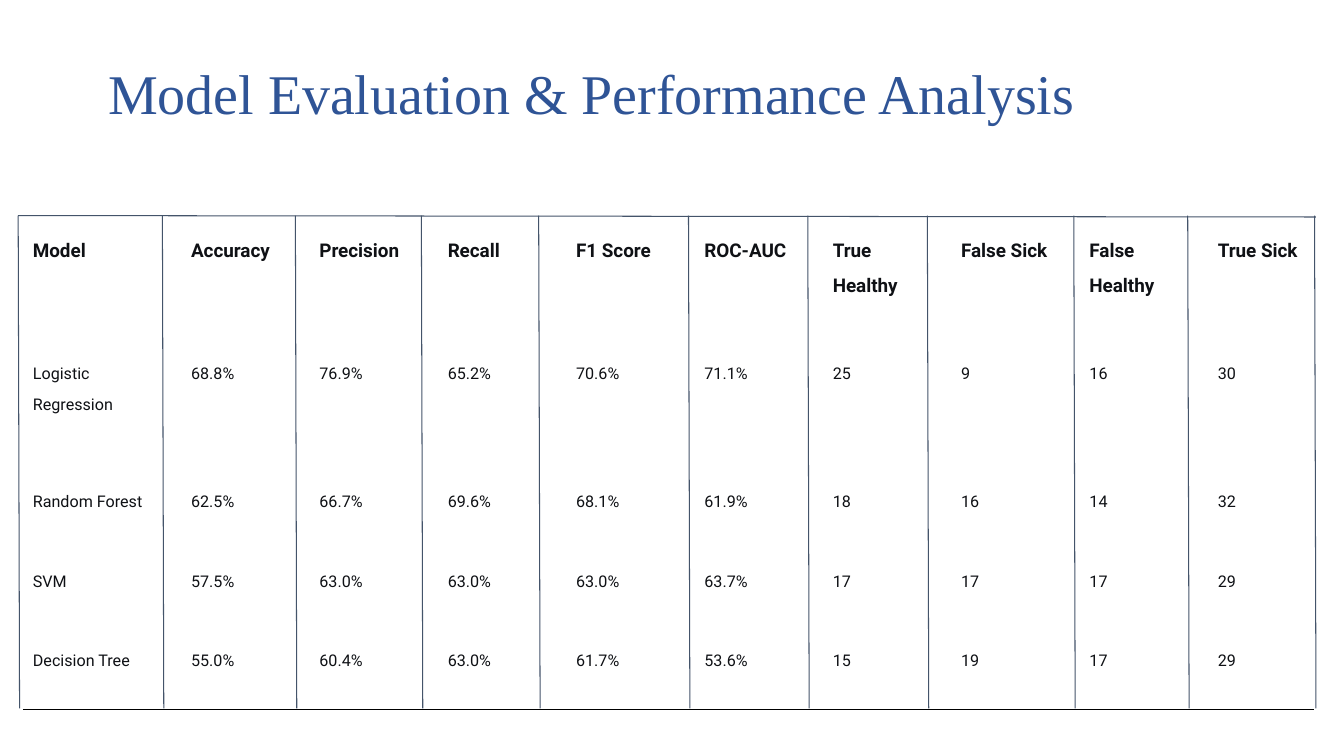
import pptx
import pptx.util
import pptx.dml.color
import pptx.enum.shapes
import pptx.enum.text
import lxml.etree

Pt = pptx.util.Pt
TITLE = "Model Evaluation & Performance Analysis"
ROWS = [
    ("Model", "Accuracy", "Precision", "Recall", "F1 Score", "ROC-AUC",
     "True Healthy", "False Sick", "False Healthy", "True Sick"),
    ("Logistic Regression", "68.8%", "76.9%", "65.2%", "70.6%", "71.1%",
     "25", "9", "16", "30"),
    ("Random Forest", "62.5%", "66.7%", "69.6%", "68.1%", "61.9%",
     "18", "16", "14", "32"),
    ("SVM", "57.5%", "63.0%", "63.0%", "63.0%", "63.7%",
     "17", "17", "17", "29"),
    ("Decision Tree", "55.0%", "60.4%", "63.0%", "61.7%", "53.6%",
     "15", "19", "17", "29"),
]
THEME = {
    "title": "2F5496", "ink": "0F1115", "rule": "000000", "line": "44546A",
    "fill": "FFFFFF", "serif": "Times New Roman", "sans": "Roboto",
    "big": 40, "head": 13.5, "body": 11.5, "thin": 0.75,
}
LEFT, TOP = 16.3, 154
WIDTHS = [108] + [91.7] * 8 + [81]
HEIGHTS = [91, 91] + [57] * 3
RULES = [13, 116, 211, 301, 384.8, 491.8, 577, 662.4, 767, 848.4, 939]
SLANT = 1
WIDE, SLIM = 12.2, 7.2


def paint(name):
    return pptx.dml.color.RGBColor.from_string(THEME[name])


def write(frame, text, size, font, color, bold=False, space=None):
    para = frame.paragraphs[0]
    para.alignment = pptx.enum.text.PP_ALIGN.LEFT
    para.line_spacing = space
    run = para.add_run()
    run.text = text
    run.font.size = Pt(THEME[size])
    run.font.name = THEME[font]
    run.font.color.rgb = paint(color)
    run.font.bold = bold


def edge(cell):
    props = cell._tc.get_or_add_tcPr()
    make = pptx.oxml.parse_xml
    space = pptx.oxml.ns.nsdecls("a")
    solid = f'<a:solidFill><a:srgbClr val="{THEME["rule"]}"/></a:solidFill>'
    for spot, side in enumerate(("lnL", "lnR", "lnT", "lnB")):
        ink = solid if side == "lnB" else "<a:noFill/>"
        width = Pt(THEME["thin"])
        props.insert(spot, make(
            f'<a:{side} {space} w="{width}">{ink}</a:{side}>'))


def draw(slide, start, end):
    line = slide.shapes.add_connector(
        pptx.enum.shapes.MSO_CONNECTOR.STRAIGHT,
        *(Pt(n) for n in start + end))
    line.line.color.rgb = paint("line")
    line.line.width = Pt(THEME["thin"])
    lxml.etree.SubElement(line._element.spPr, pptx.oxml.ns.qn("a:effectLst"))


def grid(slide):
    table = slide.shapes.add_table(
        len(ROWS), len(WIDTHS), Pt(LEFT), Pt(TOP),
        Pt(sum(WIDTHS)), Pt(sum(HEIGHTS))).table
    table.first_row = table.horz_banding = False
    for col, width in zip(table.columns, WIDTHS):
        col.width = Pt(width)
    for row, height in zip(table.rows, HEIGHTS):
        row.height = Pt(height)
    last = len(WIDTHS) - 1
    for r, row in enumerate(ROWS):
        for c, text in enumerate(row):
            cell = table.cell(r, c)
            cell.margin_left = Pt(SLIM if c == 0 else WIDE)
            cell.margin_right = Pt(SLIM if c == last else WIDE)
            cell.margin_top = cell.margin_bottom = Pt(SLIM)
            cell.fill.solid()
            cell.fill.fore_color.rgb = paint("fill")
            edge(cell)
            write(cell.text_frame, text, "body" if r else "head", "sans",
                  "ink", bold=r == 0, space=1.63)


def main():
    deck = pptx.Presentation()
    deck.slide_width, deck.slide_height = Pt(960), Pt(540)
    slide = deck.slides.add_slide(deck.slide_layouts[5])
    title = slide.shapes.title
    title.left, title.top = Pt(70), Pt(16)
    title.width, title.height = Pt(820), Pt(100)
    title.text_frame.vertical_anchor = pptx.enum.text.MSO_ANCHOR.MIDDLE
    write(title.text_frame, TITLE, "big", "serif", "title")
    grid(slide)
    base = TOP + sum(HEIGHTS) - SLANT
    for x in RULES:
        draw(slide, (x, TOP), (x + SLANT, base))
    draw(slide, (RULES[0], TOP), (RULES[-1] + SLANT, TOP + SLANT))
    deck.save("out.pptx")


if __name__ == "__main__":
    main()
